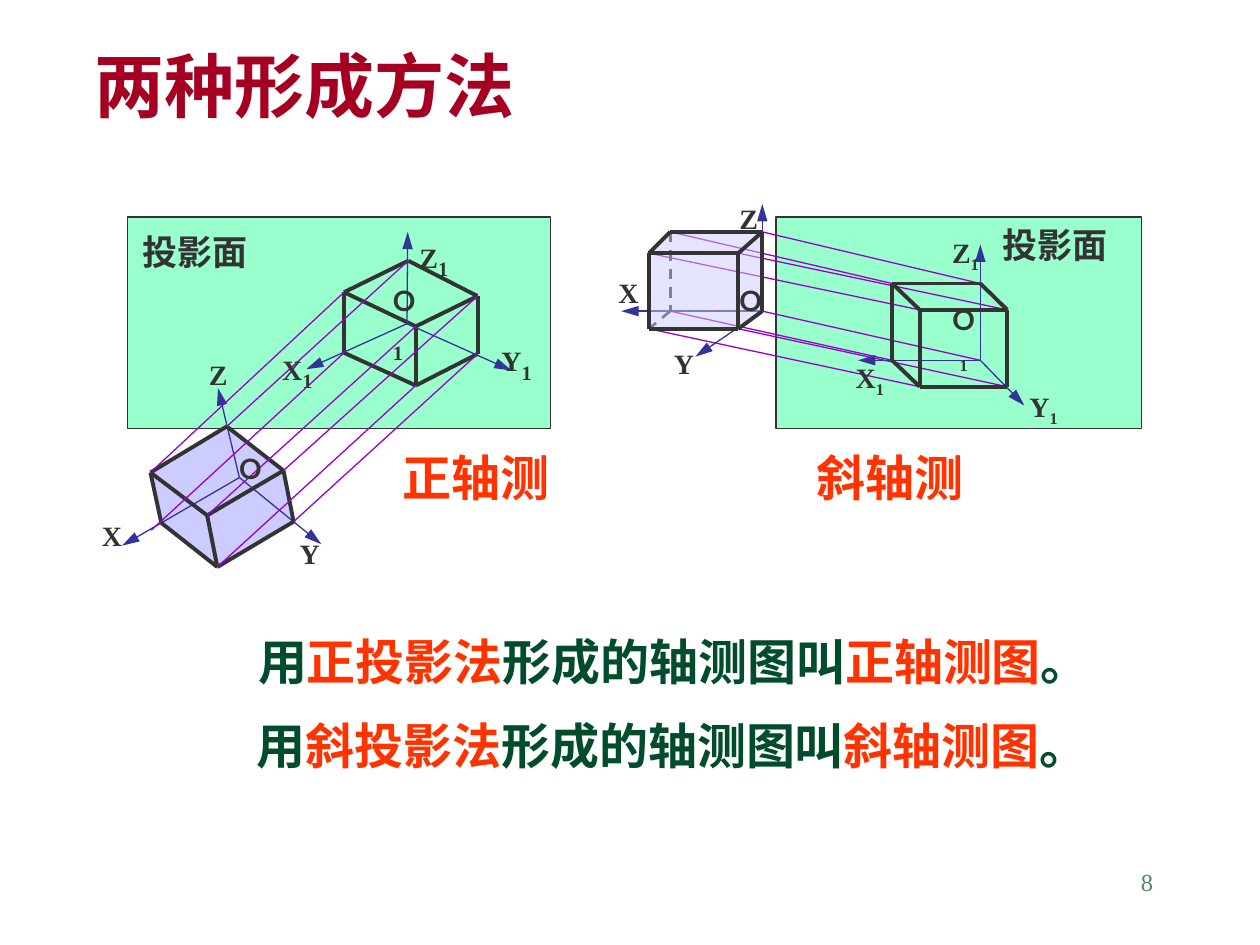
from lxml import etree
from pptx import Presentation
from pptx import util as u
from pptx.dml import color
from pptx.enum import dml, shapes, text
from pptx.oxml import ns

Pt = u.Pt
SERIF, SANS, CJK = "Times New Roman", "Lato", "Noto Sans CJK SC"
DARK, RED, GREEN, PURPLE, BLUE = "333333", "FF3300", "004C2B", "9900CC", "333399"
LILAC, MINT = "CCCCFF", "99FFCC"


def rgb(value):
    return color.RGBColor.from_string(value)


def set_font(font, size, value, name=SERIF, bold=True):
    font.size, font.bold, font.name = Pt(size), bold, name
    font.color.rgb = rgb(value)
    etree.SubElement(font._rPr, ns.qn("a:ea"), typeface=CJK)


def add_text(s, box, runs, size, value=DARK, name=SERIF, bold=True, wrap=False,
             align=text.PP_ALIGN.LEFT, anchor=text.MSO_ANCHOR.TOP):
    tf = s.shapes.add_textbox(*map(Pt, box)).text_frame
    tf.word_wrap, tf.vertical_anchor = wrap, anchor
    p = tf.paragraphs[0]
    p.alignment = align
    set_font(p.font, size, value, name, bold)
    for words, run_color in runs:
        r = p.add_run()
        r.text = words
        if run_color:
            r.font.color.rgb = rgb(run_color)
    return p


def add_label(s, x, y, letter, sub_size=None, align=text.PP_ALIGN.LEFT):
    is_origin = letter == "O"
    width = (30 if is_origin else 32) if sub_size else 25
    p = add_text(s, (x, y, width, 27), [(letter, None)], 16, align=align,
                 name=SANS if is_origin else SERIF, wrap=bool(is_origin and sub_size))
    if sub_size:
        r = p.add_run()
        r.text = "1"
        r.font.size, r.font.name = Pt(sub_size), SERIF
        r._r.get_or_add_rPr().set("baseline", "-25000")


def add_line(s, x, y, start, end, value, width, dash=False, arrow=False):
    c = s.shapes.add_connector(shapes.MSO_CONNECTOR.STRAIGHT,
                               Pt(x + start[0]), Pt(y + start[1]),
                               Pt(x + end[0]), Pt(y + end[1]))
    c.line.color.rgb, c.line.width = rgb(value), Pt(width)
    if dash:
        c.line.dash_style = dml.MSO_LINE.DASH
    if arrow:
        etree.SubElement(c.line._get_or_add_ln(), ns.qn("a:tailEnd"),
                         type="triangle", w="med", len="lg")
    etree.SubElement(c._element.spPr, ns.qn("a:effectLst"))


def add_edges(s, x, y, cube, pairs, width=2.25, dash=False):
    for a, b in pairs.split():
        add_line(s, x, y, cube[a], cube[b], DARK, width, dash)


def add_rays(s, x, y, source, image, names):
    for n in names:
        add_line(s, x, y, source[n], image[n], PURPLE, 0.75)


def add_axes(s, x, y, origin, ends):
    for end in ends:
        add_line(s, x, y, origin, end, BLUE, 0.75, arrow=True)


def add_body(s, x, y, cube, outline, alpha=None):
    points = [(Pt(x + cube[n][0]), Pt(y + cube[n][1])) for n in outline]
    fb = s.shapes.build_freeform(*points[0], scale=1.0)
    fb.add_line_segments(points[1:], close=True)
    sp = fb.convert_to_shape()
    sp.shadow.inherit = False
    sp.fill.solid()
    sp.fill.fore_color.rgb = rgb(LILAC)
    sp.line.fill.background()
    if alpha:
        clr = sp._element.spPr.find(".//" + ns.qn("a:srgbClr"))
        etree.SubElement(clr, ns.qn("a:alpha"), val=str(alpha * 1000))


def add_plane(s, x, y, w, name_x, name_y):
    sp = s.shapes.add_shape(shapes.MSO_SHAPE.RECTANGLE, Pt(x), Pt(y), Pt(w), Pt(121))
    sp.shadow.inherit = False
    sp.fill.solid()
    sp.fill.fore_color.rgb = rgb(MINT)
    sp.line.color.rgb, sp.line.width = rgb(DARK), Pt(0.75)
    add_text(s, (name_x, name_y, 75, 31), [("投影面", None)], 20)


def add_caption(s, x, y, words):
    add_text(s, (x, y, 98.6, 41), [(words, None)], 28, RED,
             align=text.PP_ALIGN.CENTER, anchor=text.MSO_ANCHOR.MIDDLE)


def orthogonal_diagram(s, x, y):
    image = dict(A=(161.3, 25), B=(124.6, 43), C=(165.6, 62.5), D=(200.9, 45.2),
                 b=(124.6, 77.6), c=(165.6, 96.3), d=(200.9, 78.3), O=(160.6, 61))
    source = dict(A=(57.6, 119.7), B=(14, 146), C=(46.4, 170.5), D=(90, 144.9),
                  b=(20.2, 174.8), c=(52.2, 200), d=(95.8, 174.1), O=(64.8, 148.9))
    edges = "AB AD BC CD Bb Cc Dd bc cd"
    add_plane(s, x + 0.7, y, 242, x + 2.2, y + 4.2)
    add_edges(s, x, y, image, edges)
    add_axes(s, x, y, image["O"], [(161, 8.5), (103, 87), (220.3, 87.7)])
    add_body(s, x, y, source, "ABbcdD")
    add_axes(s, x, y, source["O"], [(52.6, 97.8), (-2.2, 187.8), (111.6, 187)])
    add_edges(s, x, y, source, edges)
    add_rays(s, x, y, dict(source, b=(14.4, 179)), image, "ABCDbcd")
    for letter, lx, ly, sub in [
            ("O", 145.4, 34.4, 20), ("Y", 207.4, 64.6, 20), ("Z", 160.6, 5.6, 20),
            ("X", 82.1, 69.7, 20), ("O", 57.6, 130.2, None), ("Z", 40.3, 76.9, None),
            ("X", -20.9, 169, None), ("Y", 92.2, 179.1, None)]:
        add_label(s, x + lx, y + ly, letter, sub)
    add_caption(s, x + 150.5, y + 128, "正轴测")


def oblique_diagram(s, x, y):
    image = dict(E=(149.8, 38), F=(200.2, 38), G=(165.6, 53.1), H=(215.6, 53.1),
                 e=(149.8, 81.9), f=(200.2, 81.9), g=(165.6, 97), h=(215.6, 97))
    source = dict(E=(23, 8.5), F=(75.6, 8.5), G=(10.8, 20.7), H=(61.9, 20.7),
                  e=(23, 53.8), f=(75.6, 53.8), g=(10.8, 63.9), h=(61.9, 63.9))
    common = "EF EG FH GH Gg Hh gh "
    add_plane(s, x + 83.5, y, 208.8, x + 205.9, y)
    add_rays(s, x, y, source, image, "EFGHefgh")
    add_axes(s, x, y, image["f"], [(200.2, 15.7), (130.3, 81.9), (225.4, 107.8)])
    add_edges(s, x, y, image, common + "Ee eg")
    add_axes(s, x, y, source["f"], [(-5, 53.8), (75.6, -7.4), (37.4, 79.8)])
    add_edges(s, x, y, source, "Ee eg", 1.5, dash=True)
    add_edges(s, x, y, source, "ef", 0.75, dash=True)
    add_body(s, x, y, source, "EFfhgG", alpha=50)
    add_edges(s, x, y, source, common + "Ff fh")
    for letter, lx, ly, sub in [
            ("O", 175.7, 45.5, 16), ("X", 121, 78.3, 16), ("Y", 220.3, 94.9, 16),
            ("Z", 175.7, 7, 16), ("Y", 18, 70.4, None), ("X", -13.7, 30.1, None),
            ("Z", 55.4, -12.4, None), ("O", 55.4, 34.4, None)]:
        add_label(s, x + lx, y + ly, letter, sub, text.PP_ALIGN.CENTER)
    add_caption(s, x + 99.4, y + 128, "斜轴测")


def add_title(s, x, y, w, h):
    sp = s.shapes.title
    sp.left, sp.top, sp.width, sp.height = map(Pt, (x, y, w, h))
    tf = sp.text_frame
    tf.text = "两种形成方法"
    tf.word_wrap, tf.auto_size = False, text.MSO_AUTO_SIZE.NONE
    tf.vertical_anchor = text.MSO_ANCHOR.TOP
    p = tf.paragraphs[0]
    p.alignment = text.PP_ALIGN.LEFT
    set_font(p.font, 40, "A50021", CJK)


def add_conclusions(s, x, y):
    for i, kind in enumerate("正斜"):
        runs = [("用", GREEN), (kind + "投影法", RED), ("形成的轴测图叫", GREEN),
                (kind + "轴测图", RED), ("。", GREEN)]
        add_text(s, (x - 0.7 * i, y + 48.3 * i, 492.5, 41), runs, 28, GREEN, CJK,
                 anchor=text.MSO_ANCHOR.MIDDLE)


def main():
    prs = Presentation()
    prs.slide_width, prs.slide_height = Pt(720), Pt(540)
    s = prs.slides.add_slide(prs.slide_layouts[5])
    add_title(s, 46.8, 20.9, 266.4, 55.4)
    add_conclusions(s, 140.4, 357.1)
    oblique_diagram(s, 360, 124)
    orthogonal_diagram(s, 72, 124)
    add_text(s, (516, 491.8, 150, 36), [("8", None)], 14, "578963", bold=False,
             wrap=True, align=text.PP_ALIGN.RIGHT)
    prs.save("out.pptx")


if __name__ == "__main__":
    main()
